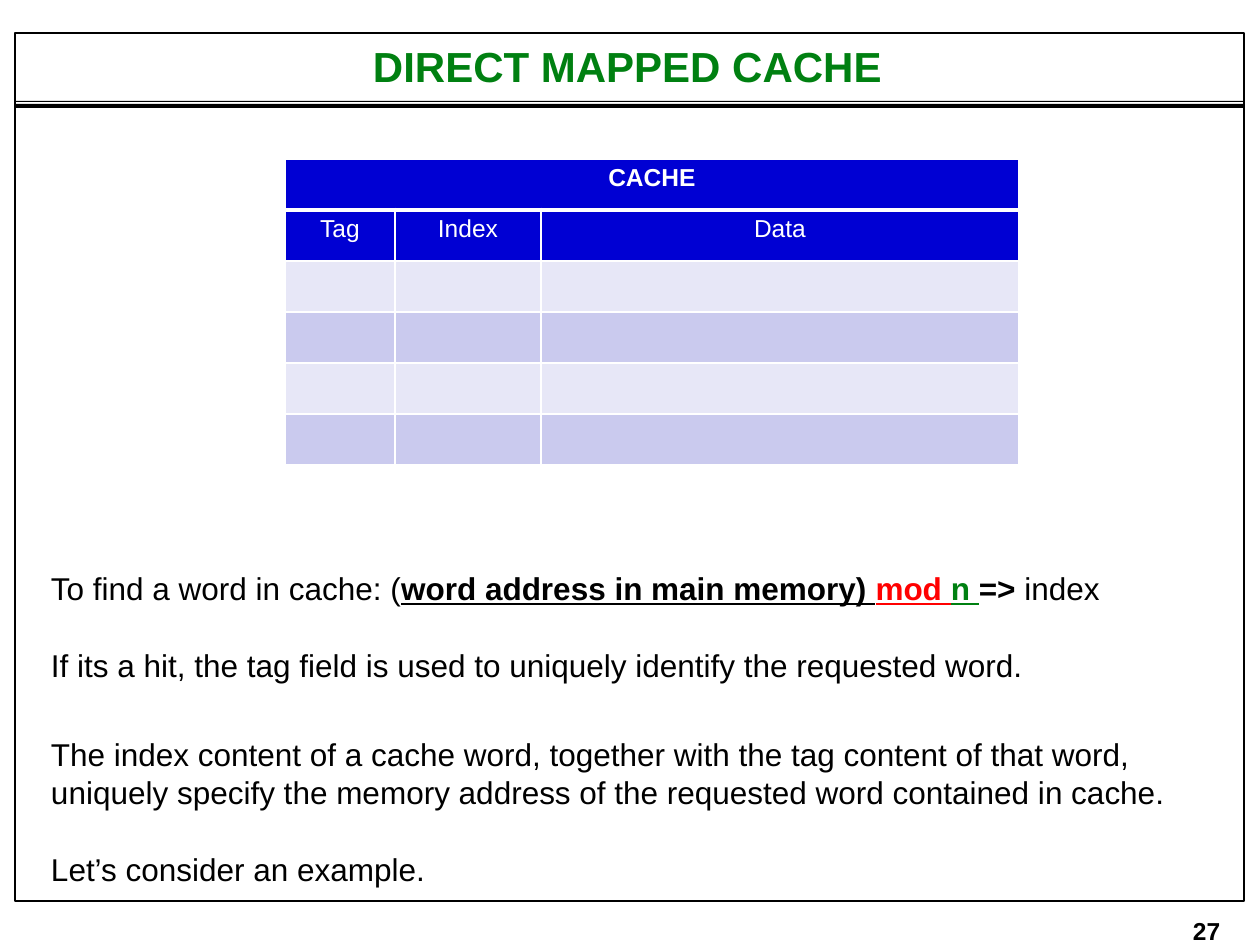
import pptx
import pptx.util
import pptx.dml.color
import pptx.enum.shapes
import pptx.enum.text
import pptx.oxml
import pptx.oxml.ns

PX = 914400 // 126
FONT = "Arial"
COLORS = {
    "black": "000000", "white": "FFFFFF", "green": "008011", "red": "FF0000",
    "header": "0000D3", "light": "E7E7F7", "dark": "CACAEE",
}

TITLE = "DIRECT MAPPED CACHE"
PAGE_NUMBER = "27"
HEADINGS = ["Tag", "Index", "Data"]
COLUMN_WIDTHS = [110, 146, 478]
ROW_HEIGHT = 51
BODY_ROWS = 4
# Each paragraph: space before in points, then spans of (text, color, bold, underline)
PARAGRAPHS = [
    (0, [("To find a word in cache: (", "black", False, False),
         ("word address in main memory) ", "black", True, True),
         ("mod ", "red", True, True),
         ("n ", "green", True, True),
         ("=> ", "black", True, False),
         ("index", "black", False, False)]),
    (22.3, [("If its a hit, the tag field is used to uniquely identify the requested word.",
             "black", False, False)]),
    (29.2, [("The index content of a cache word, together with the tag content of that word, "
             "uniquely specify the memory address of the requested word contained in cache.",
             "black", False, False)]),
    (22.3, [("Let’s consider an example.", "black", False, False)]),
]
FRAME = (15, 33, 1229, 868)
RULES = [(15, 101, 1229, 1), (15, 104, 1229, 4)]


def rgb(name):
    return pptx.dml.color.RGBColor.from_string(COLORS[name])


def emu(*lengths):
    return [length * PX for length in lengths]


def style(font, size, color, bold=False):
    font.name = FONT
    font.size = pptx.util.Pt(size)
    font.bold = bold
    font.color.rgb = rgb(color)


def place(shape, left, top, width, height):
    shape.left, shape.top, shape.width, shape.height = emu(left, top, width, height)


def set_frame(frame, left=0, top=1, anchor=pptx.enum.text.MSO_ANCHOR.TOP):
    """Apply insets, wrapping and anchoring to a text frame."""
    frame.margin_left, frame.margin_top = emu(left, top)
    frame.margin_right = frame.margin_bottom = 0
    frame.word_wrap = True
    frame.auto_size = pptx.enum.text.MSO_AUTO_SIZE.NONE
    frame.vertical_anchor = anchor


def add_rectangle(page, bounds):
    shape = page.shapes.add_shape(pptx.enum.shapes.MSO_SHAPE.RECTANGLE, *emu(*bounds))
    shape.shadow.inherit = False
    return shape


def set_border(cell, side, points):
    cell.append_border = None


def add_borders(cell, top, bottom):
    """Draw white cell borders; top and bottom widths are in points."""
    properties = cell._tc.get_or_add_tcPr()
    for position, (side, points) in enumerate(
            [("lnL", 1), ("lnR", 1), ("lnT", top), ("lnB", bottom)]):
        properties.insert(position, pptx.oxml.parse_xml(
            f'<a:{side} {pptx.oxml.ns.nsdecls("a")} w="{points * 12700}">'
            f'<a:solidFill><a:srgbClr val="{COLORS["white"]}"/></a:solidFill></a:{side}>'))


def add_furniture(page):
    for bounds in RULES:
        rule = add_rectangle(page, bounds)
        rule.fill.solid()
        rule.fill.fore_color.rgb = rgb("black")
        rule.line.fill.background()
    border = add_rectangle(page, FRAME)
    border.fill.background()
    border.line.color.rgb = rgb("black")
    border.line.width = pptx.util.Pt(0.75)

    box = page.shapes.add_textbox(*emu(1188, 911, 40, 32))
    set_frame(box.text_frame, left=5, top=0)
    para = box.text_frame.paragraphs[0]
    para.text = PAGE_NUMBER
    para.line_spacing = 1.18
    style(para.font, 14, "black", True)


def fill_title(title):
    place(title, 358, 37, 544, 54)
    set_frame(title.text_frame, left=15, anchor=pptx.enum.text.MSO_ANCHOR.BOTTOM)
    para = title.text_frame.paragraphs[0]
    para.text = TITLE
    para.alignment = pptx.enum.text.PP_ALIGN.LEFT
    style(para.font, 24, "green", True)


def fill_body(body):
    place(body, 50, 568, 1120, 318)
    frame = body.text_frame
    set_frame(frame)
    for number, (space, spans) in enumerate(PARAGRAPHS):
        para = frame.add_paragraph() if number else frame.paragraphs[0]
        properties = para._p.get_or_add_pPr()
        properties.set("marL", str(PX))
        properties.set("indent", "0")
        properties.append(pptx.oxml.parse_xml(f'<a:buNone {pptx.oxml.ns.nsdecls("a")}/>'))
        para.space_before = pptx.util.Pt(space)
        para.line_spacing = pptx.util.Pt(21.7)
        style(para.font, 18, "black")
        for text, color, bold, underline in spans:
            span = para.add_run()
            span.text = text
            style(span.font, 18, color, bold)
            span.font.underline = underline


def add_cache_table(page):
    rows = [["CACHE", "", ""], HEADINGS] + [[""] * len(HEADINGS)] * BODY_ROWS
    table = page.shapes.add_table(
        len(rows), len(HEADINGS),
        *emu(285, 159, sum(COLUMN_WIDTHS), ROW_HEIGHT * len(rows))).table
    for column, width in zip(table.columns, COLUMN_WIDTHS):
        column.width = width * PX
    for row_number, texts in enumerate(rows):
        table.rows[row_number].height = ROW_HEIGHT * PX
        fill = "header" if row_number < 2 else ("light", "dark")[row_number % 2]
        for column_number, text in enumerate(texts):
            cell = table.cell(row_number, column_number)
            cell.margin_left = cell.margin_right = cell.margin_bottom = 0
            cell.margin_top = 5 * PX
            cell.fill.solid()
            cell.fill.fore_color.rgb = rgb(fill)
            add_borders(cell, 3 if row_number == 1 else 1, 3 if row_number == 0 else 1)
            para = cell.text_frame.paragraphs[0]
            para.text = text
            para.alignment = pptx.enum.text.PP_ALIGN.CENTER
            style(para.font, 14, "white", row_number == 0)
    table.cell(0, 0).merge(table.cell(0, len(HEADINGS) - 1))


def main():
    deck = pptx.Presentation()
    deck.slide_width, deck.slide_height = emu(1260, 945)
    page = deck.slides.add_slide(deck.slide_layouts[1])
    add_furniture(page)
    fill_title(page.shapes.title)
    fill_body(page.placeholders[1])
    add_cache_table(page)
    deck.save("out.pptx")


if __name__ == "__main__":
    main()
